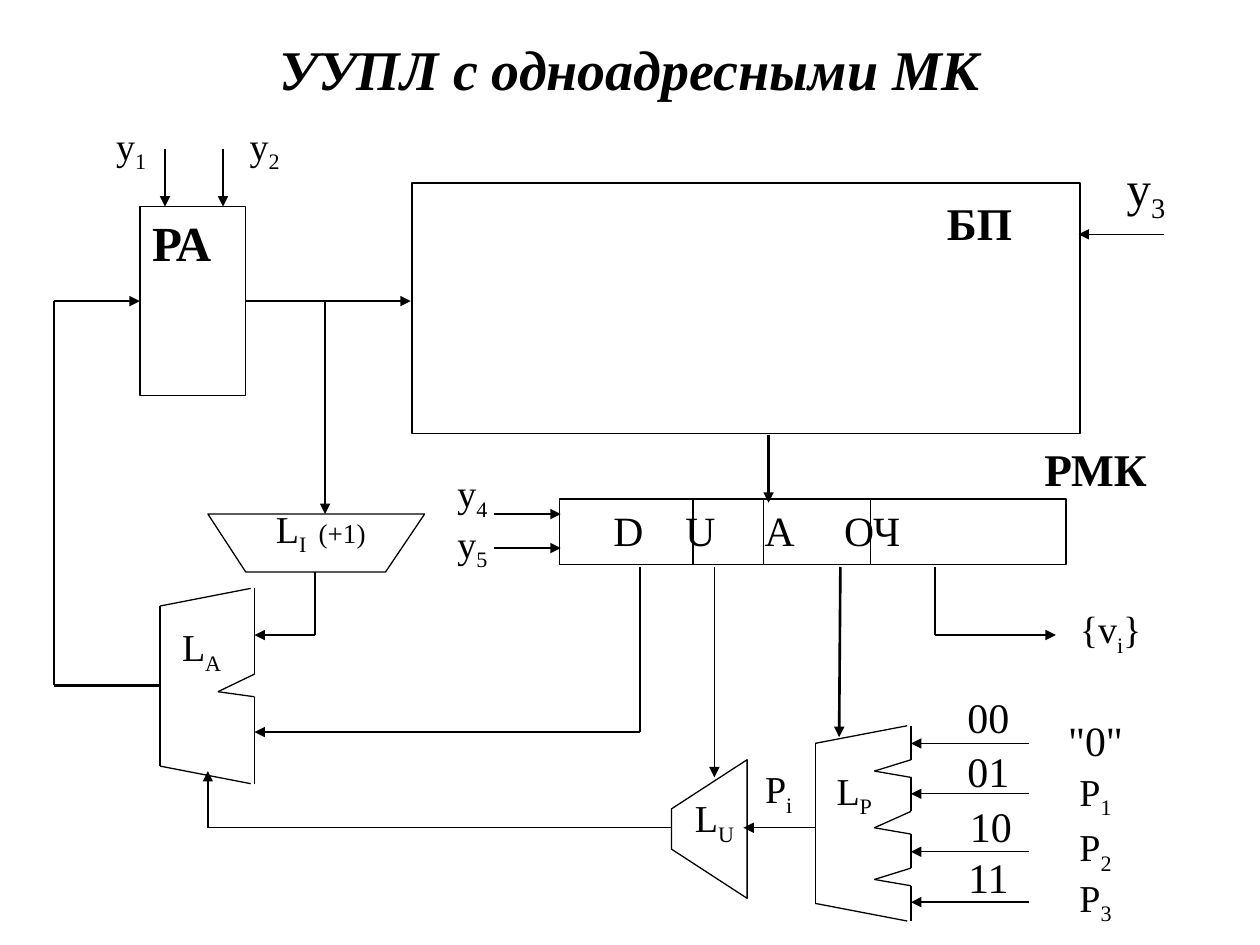
from lxml import etree
from pptx import Presentation
from pptx.dml.color import RGBColor
from pptx.enum.shapes import MSO_CONNECTOR as Connector, MSO_SHAPE as Shape
from pptx.enum.text import MSO_ANCHOR as Anchor, PP_ALIGN as Align
from pptx.oxml.ns import qn
from pptx.util import Inches, Pt

BLACK = RGBColor(0, 0, 0)
FONT = "Times New Roman"
THIN, MEDIUM, THICK = 0.75, 1, 1.5
BUS_Y = 2.39
MUX_LEFT, MUX_RIGHT = 6.47, 7.23
FEEDBACK_Y = 6.57


def format_run(run, size, bold=False, italic=False, subscript=False):
    """Apply the slide's typeface to one run."""
    font = run.font
    font.name, font.size, font.bold, font.italic = FONT, Pt(size), bold, italic
    font.color.rgb = BLACK
    if subscript:
        run._r.get_or_add_rPr().set("baseline", "-25000")


def add_label(slide, left, top, width, text, subscript="", suffix="",
              size=21.7, suffix_size=21.7, bold=False, height=0.54):
    """Add a centred label with an optional subscript and suffix."""
    box = slide.shapes.add_textbox(*map(Inches, (left, top, width, height)))
    box.text_frame.word_wrap = True
    paragraph = box.text_frame.paragraphs[0]
    paragraph.alignment = Align.CENTER
    paragraph.text = text
    format_run(paragraph.runs[0], size, bold)
    if subscript:
        run = paragraph.add_run()
        run.text = subscript
        format_run(run, size, subscript=True)
    if suffix:
        run = paragraph.add_run()
        run.text = suffix
        format_run(run, suffix_size)


def outline(shape, width):
    """Leave a shape unfilled with a plain black border."""
    shape.shadow.inherit = False
    shape.fill.background()
    shape.line.color.rgb = BLACK
    shape.line.width = Pt(width)


def add_block(slide, left, top, width, height, text="", size=28, bold=False, tabs=()):
    """Add a rectangular block with text at its top left."""
    block = slide.shapes.add_shape(Shape.RECTANGLE, *map(Inches, (left, top, width, height)))
    outline(block, MEDIUM)
    if text:
        frame = block.text_frame
        frame.vertical_anchor = Anchor.TOP
        paragraph = frame.paragraphs[0]
        paragraph.text = text
        paragraph.alignment = Align.LEFT
        format_run(paragraph.runs[0], size, bold)
        if tabs:
            tab_list = etree.SubElement(paragraph._p.get_or_add_pPr(), qn("a:tabLst"))
            for position in tabs:
                etree.SubElement(tab_list, qn("a:tab"), pos=str(Inches(position)), algn="l")
    return block


def add_line(slide, start, end, width=THIN, arrow=False):
    """Add a straight line, with an arrowhead at its end if asked."""
    line = slide.shapes.add_connector(Connector.STRAIGHT, *map(Inches, (*start, *end)))
    line.line.color.rgb = BLACK
    line.line.width = Pt(width)
    if arrow:
        etree.SubElement(line.line._get_or_add_ln(), qn("a:tailEnd"), type="triangle")
    etree.SubElement(line._element.spPr, qn("a:effectLst"))
    return line


def add_route(slide, points, width=THIN, arrow=True):
    """Add a chain of lines through the points."""
    last = len(points) - 2
    return [add_line(slide, start, end, width, arrow and index == last)
            for index, (start, end) in enumerate(zip(points, points[1:]))]


def add_polygon(slide, points):
    """Add a closed thin outline."""
    corners = [(Inches(x), Inches(y)) for x, y in points]
    builder = slide.shapes.build_freeform(*corners[0], scale=1.0)
    builder.add_line_segments(corners[1:], close=True)
    outline(builder.convert_to_shape(), THIN)


def add_multiplexer(slide, left, right, top, bottom, notches):
    """Add a slanted multiplexer outline with notches between its inputs."""
    add_route(slide, [(right - 0.03, top), (left, top + 0.14),
                      (left, bottom - 0.14), (right - 0.03, bottom)], arrow=False)
    edge = [(right, top)]
    for upper, tip, lower in notches:
        edge += [(right, upper), (right - 0.29, tip), (right, lower)]
    add_route(slide, edge + [(right, bottom)], arrow=False)


def add_title(slide):
    """Fill and place the title."""
    title = slide.shapes.title
    title.left, title.top, title.width, title.height = map(Inches, (0.75, 0.25, 8.5, 0.58))
    title.text_frame.text = "УУПЛ с одноадресными МК"
    title.text_frame.vertical_anchor = Anchor.MIDDLE
    paragraph = title.text_frame.paragraphs[0]
    paragraph.alignment = Align.CENTER
    format_run(paragraph.runs[0], 32, bold=True, italic=True)


def add_blocks(slide):
    """Add the registers, memory and logic blocks; return the address register."""
    address_register = add_block(slide, 1.11, 1.64, 0.84, 1.5, "РА", bold=True)
    add_block(slide, 3.27, 1.45, 5.3, 1.99)
    add_block(slide, 4.44, 3.96, 4.02, 0.52, "\tD\tU\tA\tОЧ", 23.8,
              tabs=(0.33, 0.9, 1.53, 2.16))
    for x in (5.5, 6.06, 6.91):
        add_line(slide, (x, 3.96), (x, 4.48))
    add_polygon(slide, [(1.65, 4.08), (1.95, 4.54), (3.06, 4.54), (3.37, 4.08)])
    add_polygon(slide, [(5.93, 7.13), (5.33, 6.74), (5.33, 6.42), (5.93, 6.03)])
    add_multiplexer(slide, 1.27, 2.02, 4.67, 6.22, [(5.35, 5.49, 5.53)])
    add_multiplexer(slide, MUX_LEFT, MUX_RIGHT, 5.76, 7.31,
                    [(6.03, 6.12, 6.17), (6.44, 6.57, 6.62), (6.89, 6.98, 7.03)])
    return address_register


def add_connections(slide, address_register):
    """Add the buses and the control signals."""
    for x in (1.31, 1.77):
        add_line(slide, (x, 1.18), (x, 1.64), arrow=True)
    for y in (4.08, 4.35):
        add_line(slide, (3.92, y), (4.45, y), arrow=True)
    for y in (5.9, 6.3, 6.76, 7.16):
        add_line(slide, (8.17, y), (MUX_RIGHT, y), arrow=True)
    add_line(slide, (9.24, 1.86), (8.56, 1.86), arrow=True)
    add_line(slide, (5.67, 4.5), (5.67, 6.17), arrow=True)
    add_line(slide, (MUX_LEFT, FEEDBACK_Y), (5.9, FEEDBACK_Y), arrow=True)
    add_route(slide, [(5.33, FEEDBACK_Y), (1.65, FEEDBACK_Y), (1.65, 6.12)])

    memory_bus = add_line(slide, (1.95, BUS_Y), (3.26, BUS_Y), THICK, True)
    memory_bus.begin_connect(address_register, 3)
    return_bus = add_route(slide, [(1.27, 5.44), (0.43, 5.44), (0.43, BUS_Y),
                                   (1.11, BUS_Y)], THICK)
    return_bus[-1].end_connect(address_register, 1)
    for points in (
        [(6.1, 3.45), (6.1, 3.99)],
        [(6.67, 4.5), (6.66, 5.85)],
        [(2.58, BUS_Y), (2.58, 4.08)],
        [(5.08, 4.5), (5.08, 5.81), (2.02, 5.81)],
        [(2.5, 4.54), (2.5, 5.04), (2.02, 5.04)],
        [(7.42, 4.5), (7.42, 5.04), (8.38, 5.04)],
    ):
        add_route(slide, points, THICK)


def add_labels(slide):
    """Add the names of blocks, signals and inputs."""
    for left, top, width, text, subscript in (
        (0.55, 0.92, 0.98, "y", "1"),
        (1.61, 0.92, 0.98, "y", "2"),
        (3.26, 3.68, 0.98, "y", "4"),
        (3.26, 4.08, 0.98, "y", "5"),
        (6.31, 6.04, 0.94, "L", "P"),
        (5.71, 6.03, 0.94, "P", "i"),
        (5.15, 6.26, 1.04, "L", "U"),
        (1.08, 4.9, 1.04, "L", "A"),
        (8.08, 6.05, 1.23, "P", "1"),
        (8.08, 6.49, 1.23, "P", "2"),
        (8.08, 6.89, 1.23, "P", "3"),
    ):
        add_label(slide, left, top, width, text, subscript)
    add_label(slide, 8.36, 1.2, 1.47, "y", "3", size=28, height=0.72)
    add_label(slide, 1.65, 3.96, 1.79, "L", "I ", " (+1)", suffix_size=15.5)
    add_label(slide, 8.08, 4.76, 1.47, "{v", "i", "}")
    add_label(slide, 7.91, 3.45, 1.57, "РМК", size=25.9, bold=True)
    add_label(slide, 6.99, 1.5, 1.57, "БП", size=25.9, bold=True)
    add_label(slide, 8.08, 5.62, 1.23, '"0"', size=23.8, height=0.52)
    for left, top, code in ((7.23, 5.44, "00"), (7.23, 5.87, "01"),
                            (7.25, 6.3, "10"), (7.23, 6.71, "11")):
        add_label(slide, left, top, 1.23, code, size=24, height=0.52)


def main():
    """Build and save the slide."""
    presentation = Presentation()
    presentation.slide_width, presentation.slide_height = Inches(10), Inches(7.5)
    slide = presentation.slides.add_slide(presentation.slide_layouts[5])
    add_title(slide)
    address_register = add_blocks(slide)
    add_connections(slide, address_register)
    add_labels(slide)
    presentation.save("out.pptx")


if __name__ == "__main__":
    main()
